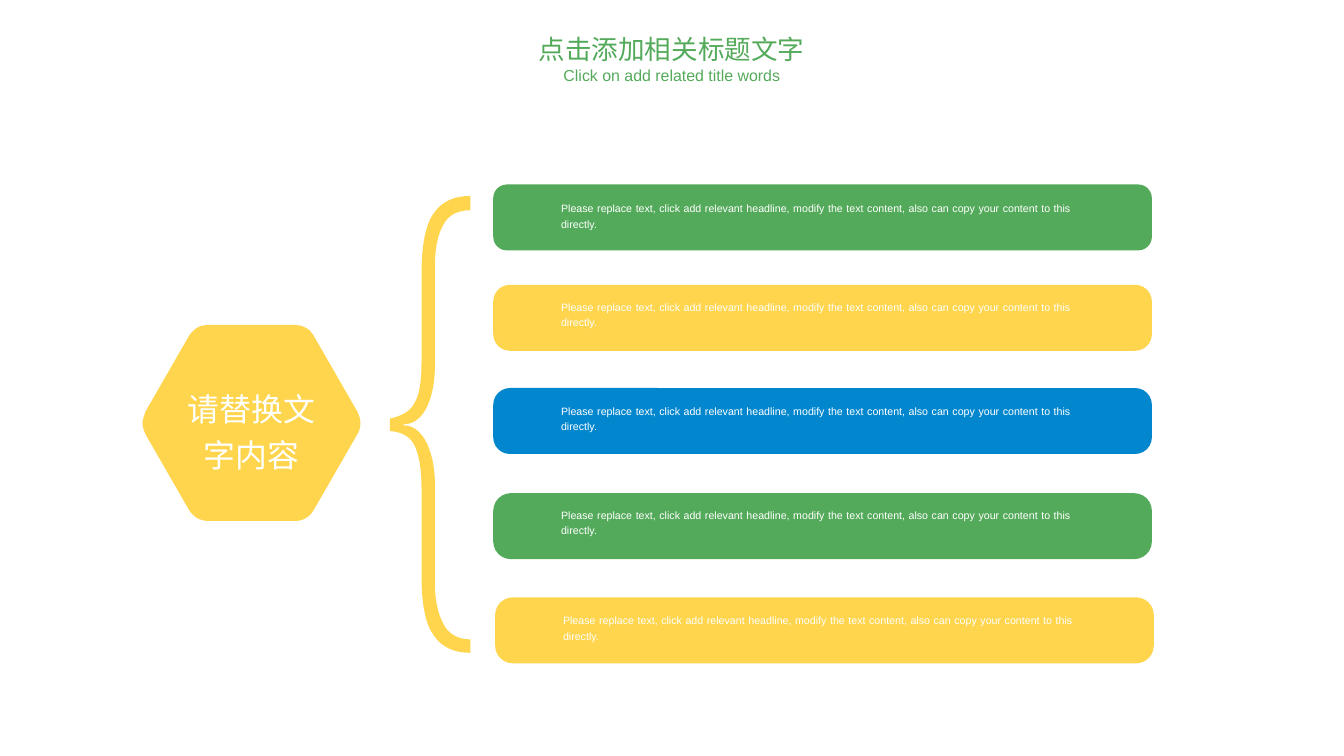
from lxml.etree import SubElement
from pptx import Presentation
from pptx.dml.color import RGBColor as RGB
from pptx.enum.shapes import MSO_SHAPE as Shape
from pptx.enum.text import MSO_AUTO_SIZE as AutoSize, MSO_ANCHOR as Anchor, PP_ALIGN as Align
from pptx.oxml.ns import qn
from pptx.util import Inches, Pt

COLORS = {"green": "54AA5B", "yellow": "FED54D", "blue": "0287CF", "white": "FFFFFF"}
CJK_FONT = "Noto Sans CJK SC"

BAR_TEXT = ("Please replace text, click add relevant headline, modify the text content, "
            "also can copy your content to this directly.")
# Each bar: left, top, text offset from the top, corner radius ratio, colour
BARS = [
    (5.16, 1.93, 0.16, 0.206, "green"),
    (5.16, 2.98, 0.14, 0.253, "yellow"),
    (5.16, 4.06, 0.15, 0.253, "blue"),
    (5.16, 5.16, 0.14, 0.268, "green"),
    (5.18, 6.25, 0.15, 0.268, "yellow"),
]
BAR_SIZE = (6.89, 0.69)
BAR_TEXT_INDENT, BAR_TEXT_SIZE = 0.71, (5.34, 0.31)

# Text, box, format
TITLES = [
    ("点击添加相关标题文字", (5.35, 0.29, 3.35, 0.41), {"size": Pt(20), "name": CJK_FONT}),
    ("Click on add related title words", (5.76, 0.64, 2.54, 0.41),
     {"size": Pt(12), "name": "Arial"}),
]
HEXAGON_LABEL = ("请替换文字内容", (1.93, 4.0, 1.4, 0.93))

# Outlines: a pair is a straight step, six numbers are a Bézier curve
HEXAGON = [
    (3.28, 5.34), (3.26, 5.37, 3.24, 5.4, 3.2, 5.42), (3.17, 5.44, 3.13, 5.45, 3.09, 5.45),
    (2.17, 5.45), (2.14, 5.45, 2.1, 5.44, 2.06, 5.42), (2.03, 5.4, 2, 5.37, 1.98, 5.34),
    (1.52, 4.54), (1.51, 4.51, 1.49, 4.47, 1.49, 4.43), (1.49, 4.39, 1.51, 4.35, 1.52, 4.31),
    (1.98, 3.51), (2, 3.48, 2.03, 3.45, 2.06, 3.43), (2.1, 3.41, 2.13, 3.4, 2.17, 3.4),
    (3.09, 3.4), (3.13, 3.4, 3.16, 3.41, 3.2, 3.43), (3.24, 3.45, 3.26, 3.48, 3.28, 3.51),
    (3.74, 4.31), (3.76, 4.35, 3.77, 4.39, 3.77, 4.43), (3.77, 4.47, 3.76, 4.51, 3.74, 4.54),
    (3.28, 5.34),
]
BRACE = [
    (4.55, 5.06), (4.55, 6.09), (4.55, 6.28, 4.58, 6.42, 4.64, 6.53),
    (4.69, 6.63, 4.79, 6.69, 4.92, 6.69), (4.92, 6.83), (4.75, 6.83, 4.62, 6.77, 4.54, 6.65),
    (4.45, 6.53, 4.41, 6.32, 4.41, 6.01), (4.41, 5.1), (4.41, 4.93, 4.39, 4.79, 4.35, 4.69),
    (4.31, 4.58, 4.22, 4.52, 4.08, 4.51), (4.08, 4.38), (4.21, 4.35, 4.3, 4.3, 4.34, 4.21),
    (4.39, 4.13, 4.41, 3.98, 4.41, 3.79), (4.41, 2.88), (4.41, 2.57, 4.45, 2.35, 4.54, 2.23),
    (4.62, 2.11, 4.75, 2.05, 4.92, 2.05), (4.92, 2.2), (4.79, 2.2, 4.69, 2.25, 4.64, 2.35),
    (4.58, 2.45, 4.55, 2.6, 4.55, 2.79), (4.55, 3.83), (4.55, 4.11, 4.46, 4.44, 4.22, 4.44),
    (4.22, 4.45), (4.45, 4.45, 4.55, 4.78, 4.55, 5.06),
]


def paint(shape, color):
    shape.shadow.inherit = False
    shape.fill.solid()
    shape.fill.fore_color.rgb = RGB.from_string(COLORS[color])
    shape.line.fill.background()


def add_outline(slide, outline, color):
    """Draw straight steps between the end points, then bend the curved ones."""
    start, *ends = [tuple(map(Inches, step[-2:])) for step in outline]
    builder = slide.shapes.build_freeform(*start)
    builder.add_line_segments(ends, close=True)
    shape = builder.convert_to_shape()
    lines = list(shape._element.iter(qn("a:lnTo")))
    for line, step in zip(lines, outline[1:]):
        if len(step) == 6:
            line.clear()
            line.tag = qn("a:cubicBezTo")
            for x, y in zip(step[::2], step[1::2]):
                SubElement(line, qn("a:pt"), x=str(Inches(x) - shape.left),
                           y=str(Inches(y) - shape.top))
    paint(shape, color)


def add_text(slide, text, place, color, font, frame_format, para_format):
    box = slide.shapes.add_textbox(*map(Inches, place))
    frame = box.text_frame
    para = frame.paragraphs[0]
    span = para.add_run()
    span.text = text
    frame_format = {"word_wrap": True, "vertical_anchor": Anchor.TOP, **frame_format}
    for target, values in ((frame, frame_format), (para, para_format), (span.font, font)):
        for name, value in values.items():
            setattr(target, name, value)
    span.font.color.rgb = RGB.from_string(COLORS[color])
    SubElement(span.font._element, qn("a:ea"), typeface=CJK_FONT)


def main():
    deck = Presentation()
    deck.slide_width, deck.slide_height = Inches(14.06), Inches(7.91)
    slide = deck.slides.add_slide(deck.slide_layouts[6])

    tight = {f"margin_{side}": 0 for side in ("left", "right", "top", "bottom")}
    tight["auto_size"] = AutoSize.SHAPE_TO_FIT_TEXT

    # Hexagon and brace
    add_outline(slide, HEXAGON, "yellow")
    add_text(slide, *HEXAGON_LABEL, "white", {"size": Pt(24), "name": "Arial"}, tight,
             {"alignment": Align.CENTER, "line_spacing": 1.2})
    add_outline(slide, BRACE, "yellow")

    # Bars with their text
    for left, top, text_drop, radius, color in BARS:
        bar = slide.shapes.add_shape(Shape.ROUNDED_RECTANGLE,
                                     *map(Inches, (left, top, *BAR_SIZE)))
        bar.adjustments[0] = radius
        paint(bar, color)
        place = (left + BAR_TEXT_INDENT, top + text_drop, *BAR_TEXT_SIZE)
        add_text(slide, BAR_TEXT, place, "white", {"size": Pt(8), "name": "Arial"}, tight,
                 {"alignment": Align.JUSTIFY, "line_spacing": 1.2})

    # Titles
    for text, place, font in TITLES:
        add_text(slide, text, place, "green", font, {},
                 {"alignment": Align.CENTER, "space_after": Pt(6)})

    deck.save("out.pptx")


if __name__ == "__main__":
    main()
